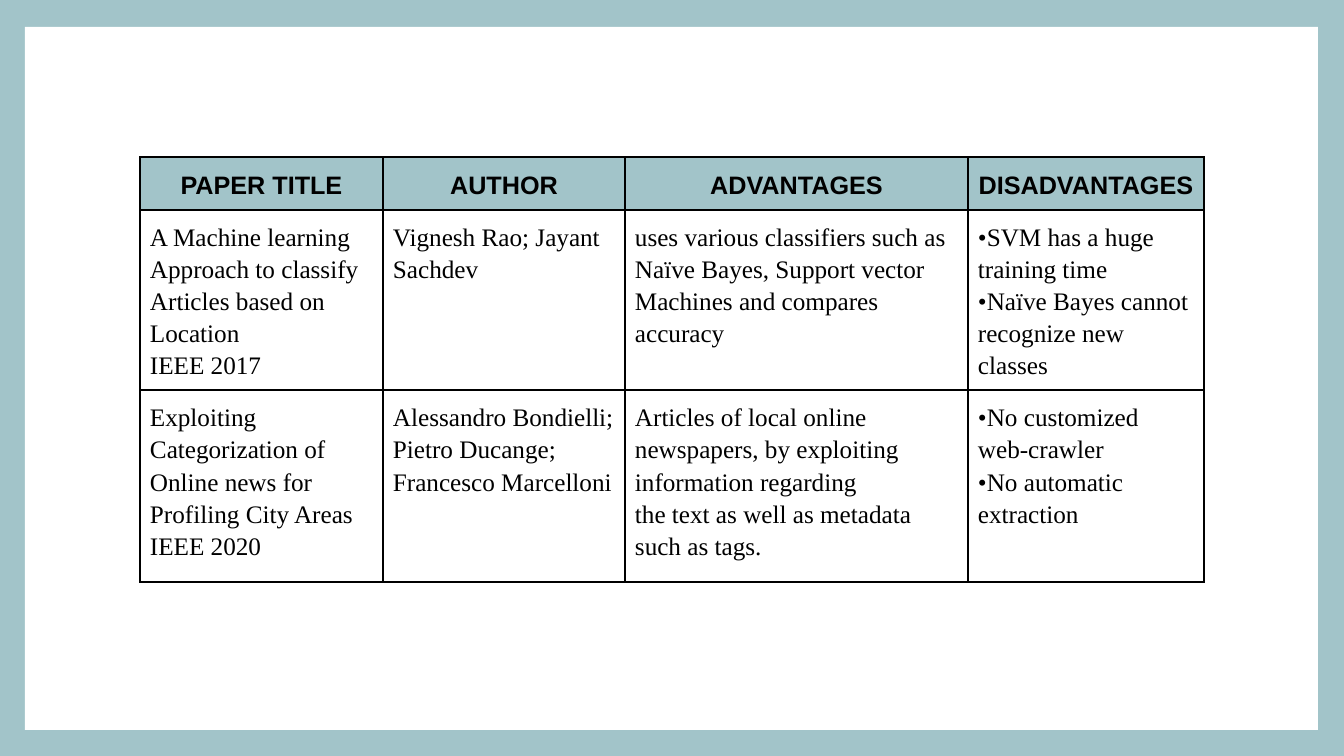
from lxml.etree import SubElement
from pptx import Presentation
from pptx.dml.color import RGBColor
from pptx.enum.shapes import MSO_SHAPE
from pptx.enum.text import PP_ALIGN
from pptx.oxml.ns import qn
from pptx.util import Emu, Pt

EMU_PER_PX = 914400 / 100.8
TEAL = "A2C4C9"
WHITE = "FFFFFF"
BLACK = "000000"

COLUMN_WIDTHS = [243, 242, 343, 236]
ROW_HEIGHTS = [53, 180, 192]
PAPERS = [
    ["PAPER TITLE", "AUTHOR", "ADVANTAGES", "DISADVANTAGES"],
    [
        "A Machine learning Approach to classify Articles based on Location\nIEEE 2017",
        "Vignesh Rao; Jayant Sachdev",
        "uses various classifiers such as Naïve Bayes, Support vector Machines and compares accuracy",
        "•SVM has a huge training time\n•Naïve Bayes cannot recognize new classes",
    ],
    [
        "Exploiting Categorization of Online news for Profiling City Areas\nIEEE 2020",
        "Alessandro Bondielli; Pietro Ducange; Francesco Marcelloni",
        "Articles of local online newspapers, by exploiting information regarding\n"
        "the text as well as metadata such as tags.",
        "•No customized web-crawler\n•No automatic extraction",
    ],
]


def px(n):
    return Emu(round(n * EMU_PER_PX))


def set_color(target, color):
    target.rgb = RGBColor.from_string(color)


def set_fill(fill, color):
    fill.solid()
    set_color(fill.fore_color, color)


def add_panel(s, x, y, w, h):
    sp = s.shapes.add_shape(MSO_SHAPE.RECTANGLE, px(x), px(y), px(w), px(h))
    sp.shadow.inherit = False
    sp.line.fill.background()
    set_fill(sp.fill, WHITE)


def add_borders(cell, width, color):
    tc_pr = cell._tc.get_or_add_tcPr()
    for side in ("a:lnL", "a:lnR", "a:lnT", "a:lnB"):
        ln = SubElement(tc_pr, qn(side), w=str(Pt(width)))
        fill = SubElement(ln, qn("a:solidFill"))
        SubElement(fill, qn("a:srgbClr"), val=color)


def write_cell(cell, text, header):
    cell.margin_left = cell.margin_right = px(10)
    cell.margin_top = cell.margin_bottom = px(10)
    add_borders(cell, 1.5, BLACK)
    if header:
        set_fill(cell.fill, TEAL)
    else:
        cell.fill.background()
    cell.text = text
    for p in cell.text_frame.paragraphs:
        p.alignment = PP_ALIGN.CENTER if header else PP_ALIGN.LEFT
        p.line_spacing = 1.15
        p.font.name = "Arial" if header else "Times New Roman"
        p.font.size = Pt(18)
        p.font.bold = header
        set_color(p.font.color, BLACK)


def add_paper_table(s, x, y):
    table = s.shapes.add_table(
        len(PAPERS), len(COLUMN_WIDTHS), px(x), px(y),
        px(sum(COLUMN_WIDTHS)), px(sum(ROW_HEIGHTS)),
    ).table
    table.horz_banding = False
    for column, width in zip(table.columns, COLUMN_WIDTHS):
        column.width = px(width)
    for i, (row, height, texts) in enumerate(zip(table.rows, ROW_HEIGHTS, PAPERS)):
        row.height = px(height)
        for cell, text in zip(row.cells, texts):
            write_cell(cell, text, header=i == 0)


def main():
    prs = Presentation()
    prs.slide_width, prs.slide_height = px(1344), px(756)
    s = prs.slides.add_slide(prs.slide_layouts[6])
    set_fill(s.background.fill, TEAL)
    add_panel(s, 25, 27, 1293, 703)
    add_paper_table(s, 140, 157)
    prs.save("out.pptx")


if __name__ == "__main__":
    main()
